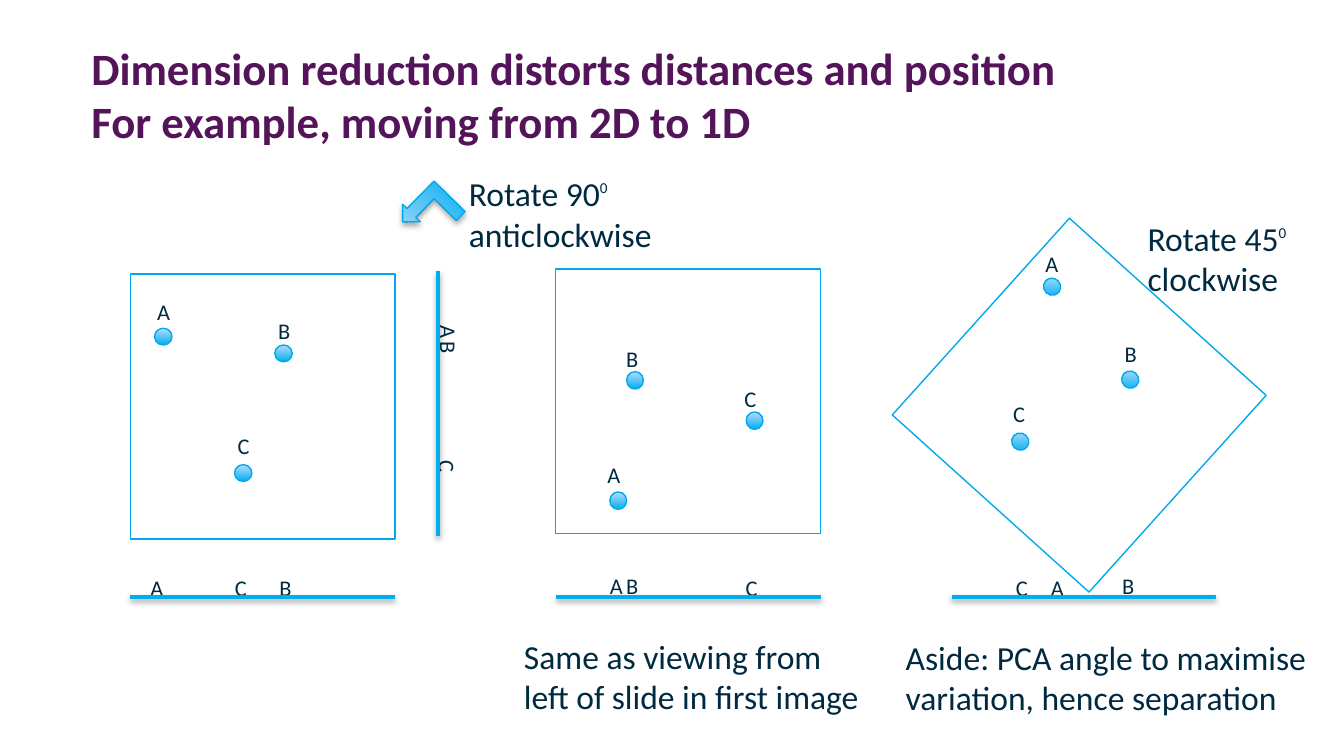
import math
from lxml import etree
from pptx import Presentation, util as u
from pptx.dml.color import RGBColor
from pptx.enum import shapes, text
from pptx.oxml import ns

SKY = RGBColor(0x00, 0xAE, 0xEF)
PALE = RGBColor(0xB5, 0xDC, 0xFF)
EDGE = RGBColor(0x00, 0xAA, 0xEA)
WHITE = RGBColor(0xFF, 0xFF, 0xFF)
NAVY = RGBColor(0x00, 0x2A, 0x41)
PLUM = RGBColor(0x54, 0x14, 0x5A)

CELL = u.Inches(0.1)
SIDE = 19.7
KIND = shapes.MSO_SHAPE

deck = Presentation()
deck.slide_width = 100 * CELL
deck.slide_height = int(56.25 * CELL)
slide = deck.slides.add_slide(deck.slide_layouts[6])


def add_form(kind, mid, size, turn, glow):
    left, top = (m - s / 2 for m, s in zip(mid, size))
    form = slide.shapes.add_shape(kind, *(int(n * CELL) for n in (left, top, *size)))
    form.rotation = turn
    form.shadow.inherit = False
    form.line.color.rgb = EDGE
    form.line.width = u.Pt(0.75)
    if glow:
        form.fill.gradient()
        form.fill.gradient_angle = 90
        for stop, tint in zip(form.fill.gradient_stops, (SKY, PALE)):
            stop.color.rgb = tint
    else:
        form.fill.solid()
        form.fill.fore_color.rgb = WHITE
    return form


def add_text(parts, place, size, tint=NAVY, wrap=True):
    box = slide.shapes.add_textbox(*(int(n * CELL) for n in place))
    frame = box.text_frame
    frame.word_wrap = wrap
    para = frame.paragraphs[0]
    for i, part in enumerate(parts):
        run = para.add_run()
        run.text = part
        run.font.name = "Calibri"
        run.font.size = u.Pt(14 if i == 1 else size)
        run.font.color.rgb = tint
        if i == 1:
            run.font._element.set("baseline", "50000")
    return box


dots = {"A": (-7.4, -5.2), "B": (1.55, -3.95), "C": (-1.45, 4.95)}
panels = [
    ((80.3, 30.15), 42, "A 76.8 18.1 B 82.7 24.8 C 74.4 29.3 C 74.6 42.2 A 77.2 42.2 B 82.5 42.1"),
    ((19.55, 30.25), 0, "A 10.7 21.7 B 19.7 23.1 C 16.7 31.7 A 10.2 42.2 C 16.5 42.2 B 19.8 42.2"),
    ((51.2, 29.85), 270, "A 44.2 33.8 B 45.6 25.2 C 54.4 28.2 A 44.4 42.1 B 45.6 42.1 C 54.5 42.2"),
]
for mid, turn, marks in panels:
    add_form(KIND.RECTANGLE, mid, (SIDE, SIDE), turn, False)
    cos, sin = math.cos(math.radians(turn)), math.sin(math.radians(turn))
    for x, y in dots.values():
        spot = (mid[0] + x * cos - y * sin, mid[1] + x * sin + y * cos)
        dot = add_form(KIND.OVAL, spot, (1.3, 1.25), turn, True)
        dot._element.spPr.find(ns.qn("a:gradFill")).set("rotWithShape", "0")
    items = marks.split()
    for name, x, y in zip(items[::3], items[1::3], items[2::3]):
        add_text([name], (float(x), float(y), 2.8, 3), 12, wrap=False)

for name, x, y in (("A", 32, 23.1), ("B", 32, 24.3), ("C", 31.9, 33.2)):
    add_text([name], (x, y, 2.8, 3), 12, wrap=False).rotation = 90

shaded = []
for x, y, dx, dy in ((9.7, 44.43, SIDE, 0), (41.4, 44.43, SIDE, 0),
                     (70.8, 44.43, SIDE, 0), (32.6, 20.2, 0, SIDE)):
    ends = (int(n * CELL) for n in (x, y, x + dx, y + dy))
    rule = slide.shapes.add_connector(shapes.MSO_CONNECTOR.STRAIGHT, *ends)
    rule.line.color.rgb = SKY
    rule.line.width = u.Pt(2)
    shaded.append((rule, 1.6, 38))

arrow = add_form(KIND.BENT_UP_ARROW, (31.95, 15.8), (3.7, 3.8), 224.5, True)
shaded.append((arrow, 1.8, 35))
for item, gap, dim in shaded:
    props = item._element.spPr
    effect = props.find(ns.qn("a:effectLst"))
    if effect is None:
        effect = etree.SubElement(props, ns.qn("a:effectLst"))
    shade = etree.SubElement(effect, ns.qn("a:outerShdw"), blurRad=str(u.Pt(3.1)),
                             dist=str(u.Pt(gap)), dir="5400000", rotWithShape="0")
    tone = etree.SubElement(shade, ns.qn("a:srgbClr"), val="000000")
    etree.SubElement(tone, ns.qn("a:alpha"), val=str(dim * 1000))

notes = [
    (["Rotate 90", "0", " anticlockwise"], (33.9, 12.4, 16.4, 7.1)),
    (["Rotate 45", "0", " clockwise"], (84.4, 15.7, 13.7, 7.1)),
    (["Same as viewing from left of slide in first image"], (38, 46.8, 27.8, 7.1)),
    (["Aside: PCA angle to maximise variation, hence separation"], (66.4, 46.9, 32.1, 7.1)),
]
for parts, place in notes:
    add_text(parts, place, 18)

title = slide.shapes.add_textbox(*(int(n * CELL) for n in (6.8, 3, 86.4, 9.4)))
frame = title.text_frame
frame.word_wrap = True
frame.vertical_anchor = text.MSO_ANCHOR.TOP
frame.margin_left = frame.margin_right = frame.margin_top = frame.margin_bottom = 0
frame.text = "Dimension reduction distorts distances and position\vFor example, moving from 2D to 1D"
for run in frame.paragraphs[0].runs:
    run.font.name = "Calibri"
    run.font.size = u.Pt(24)
    run.font.bold = True
    run.font.color.rgb = PLUM

deck.save("out.pptx")
